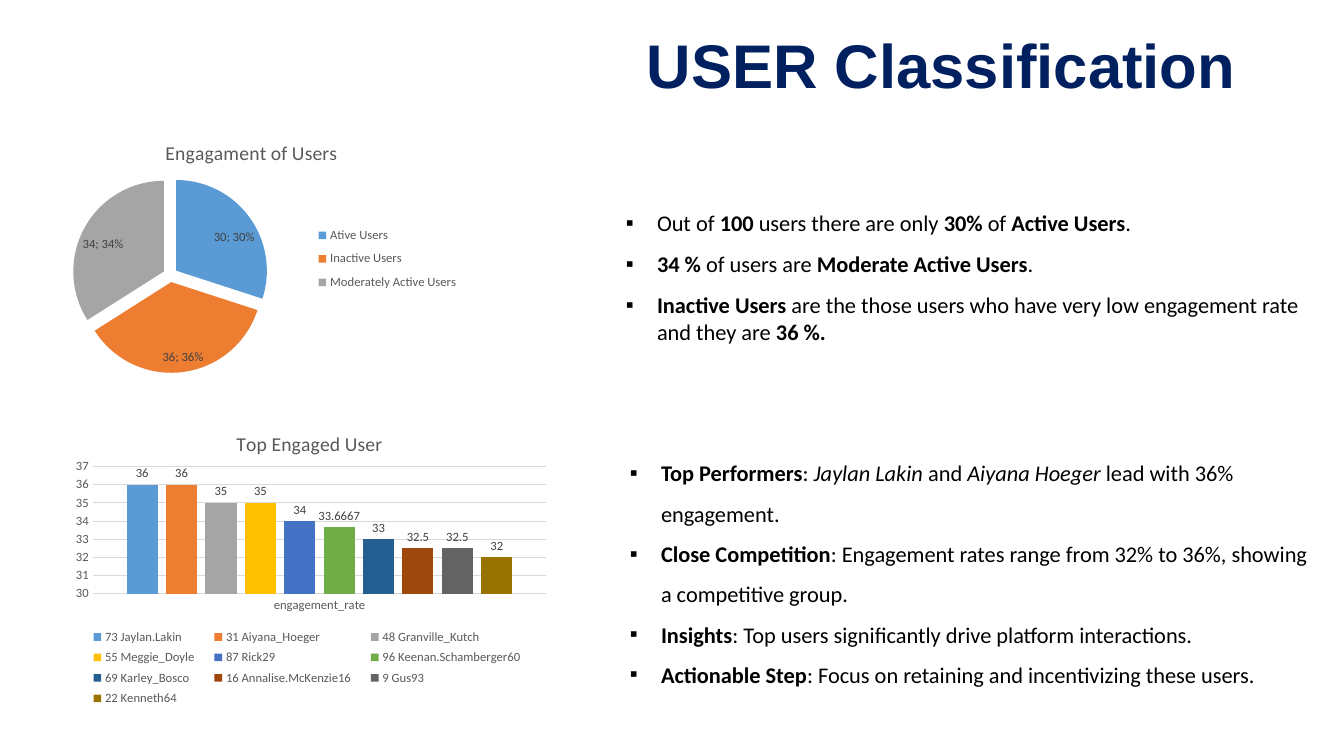
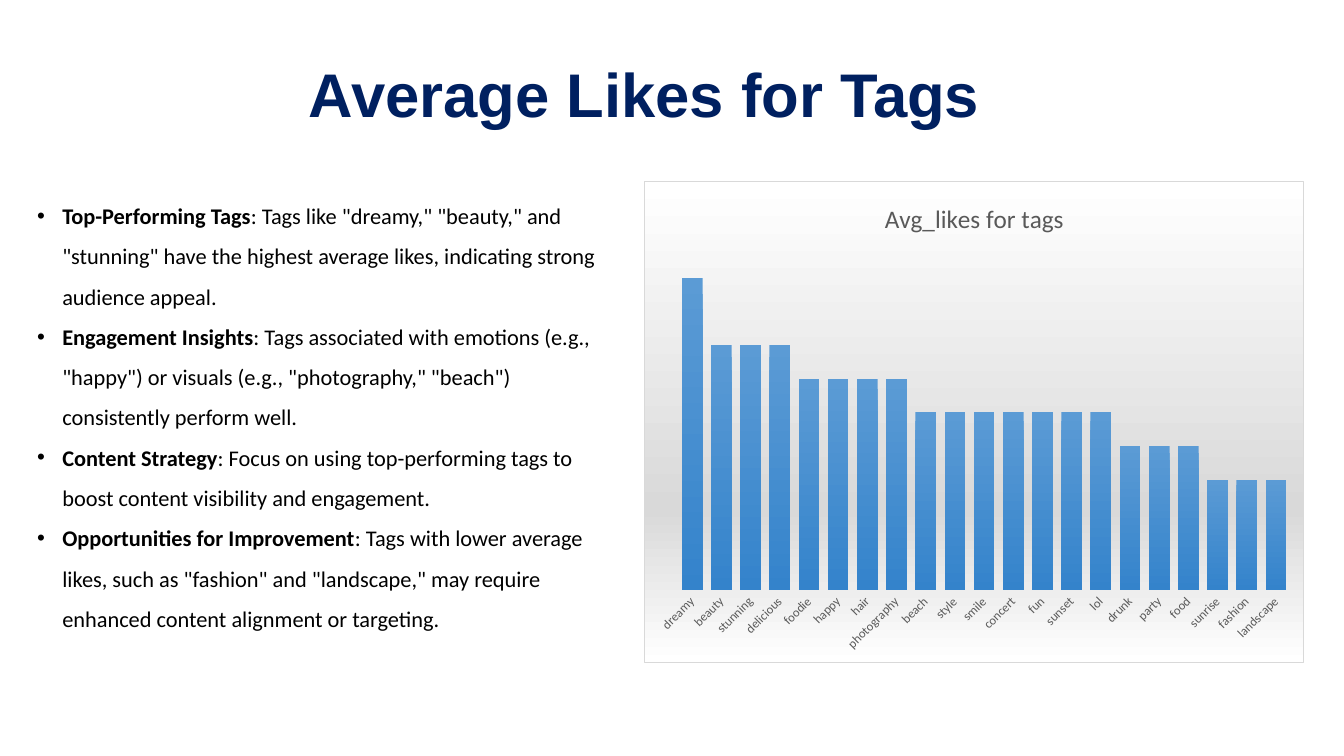
from lxml import etree
from pptx import Presentation
from pptx import util as u
from pptx.chart.data import CategoryChartData
from pptx.dml.color import RGBColor
from pptx.enum import chart as kinds, text as align
from pptx.oxml import parse_xml
from pptx.oxml.ns import nsdecls, qn

NAVY, BLACK, GREY, LABEL, RULE = "002060", "000000", "595959", "404040", "D9D9D9"
WHITE, BLUE, DEEP_BLUE = "FFFFFF", "5B9BD5", "3483CB"
HEAD_FONT, BODY_FONT = "Arial", "Calibri"

ENGAGEMENT = [("Ative Users", 30, BLUE), ("Inactive Users", 36, "ED7D31"),
              ("Moderately Active Users", 34, "A5A5A5")]
ENGAGEMENT_NOTES = [
    "Out of *100* users there are only *30% *of *Active Users*.",
    "*34 % *of users are *Moderate Active Users*.",
    "*Inactive Users *are the those users who have very low engagement rate "
    "and they are *36 %.*",
]
TOP_USERS = [
    ("73 Jaylan.Lakin", 36, BLUE), ("31 Aiyana_Hoeger", 36, "ED7D31"),
    ("48 Granville_Kutch", 35, "A5A5A5"), ("55 Meggie_Doyle", 35, "FFC000"),
    ("87 Rick29", 34, "4472C4"), ("96 Keenan.Schamberger60", 33.6667, "70AD47"),
    ("69 Karley_Bosco", 33, "255E91"), ("16 Annalise.McKenzie16", 32.5, "9E480E"),
    ("9 Gus93", 32.5, "636363"), ("22 Kenneth64", 32, "997300"),
]
TOP_USER_NOTES = [
    "*Top Performers*: ~Jaylan Lakin~ and ~Aiyana Hoeger~ lead with 36% engagement.",
    "*Close Competition*: Engagement rates range from 32% to 36%, showing "
    "a competitive group.",
    "*Insights*: Top users significantly drive platform interactions.",
    "*Actionable Step*: Focus on retaining and incentivizing these users.",
]
TAG_LIKES = {
    "dreamy": 100, "beauty": 98, "stunning": 98, "delicious": 98, "foodie": 97,
    "happy": 97, "hair": 97, "photography": 97, "beach": 96, "style": 96,
    "smile": 96, "concert": 96, "fun": 96, "sunset": 96, "lol": 96, "drunk": 95,
    "party": 95, "food": 95, "sunrise": 94, "fashion": 94, "landscape": 94,
}
TAG_NOTES = [
    '*Top-Performing Tags*: Tags like "dreamy," "beauty," and "stunning" have '
    'the highest average likes, indicating strong audience appeal.',
    '*Engagement Insights*: Tags associated with emotions (e.g., "happy") or '
    'visuals (e.g., "photography," "beach") consistently perform well.',
    '*Content Strategy*: Focus on using top-performing tags to boost content '
    'visibility and engagement.',
    '*Opportunities for Improvement*: Tags with lower average likes, such as '
    '"fashion" and "landscape," may require enhanced content alignment or targeting.',
]


def rgb(code):
    return RGBColor.from_string(code)


def style(font, size, color, name=BODY_FONT, bold=False, italic=False):
    font.size, font.name, font.bold, font.italic = u.Pt(size), name, bold, italic
    font.color.rgb = rgb(color)


def add_bullet(paragraph, symbol, margin, hang):
    props = paragraph._p.get_or_add_pPr()
    props.set("marL", str(u.Inches(margin)))
    props.set("indent", str(-u.Inches(hang)))
    etree.SubElement(props, qn("a:buFont")).set("typeface", HEAD_FONT)
    etree.SubElement(props, qn("a:buChar")).set("char", symbol)


def add_text(slide, box, lines, size=16, color=BLACK, font=BODY_FONT, bold=False,
             center=False, middle=True, spacing=1.5, before=0, bullet=None,
             margin=0.31, hang=0.31):
    frame = slide.shapes.add_textbox(*map(u.Inches, box)).text_frame
    frame.word_wrap = True
    frame.vertical_anchor = align.MSO_ANCHOR.MIDDLE if middle else align.MSO_ANCHOR.TOP
    for index, line in enumerate(lines):
        paragraph = frame.add_paragraph() if index else frame.paragraphs[0]
        paragraph.alignment = align.PP_ALIGN.CENTER if center else align.PP_ALIGN.LEFT
        paragraph.line_spacing = spacing
        paragraph.space_before = u.Pt(before)
        if bullet:
            add_bullet(paragraph, bullet, margin, hang)
        for strong, part in enumerate(line.split("*")):
            for slanted, piece in enumerate(part.split("~")):
                if piece:
                    run = paragraph.add_run()
                    run.text = piece
                    style(run.font, size, color, font, bold or strong % 2 == 1,
                          slanted % 2 == 1)


def add_title(slide, box, title):
    add_text(slide, box, [title], size=44, color=NAVY, font=HEAD_FONT, bold=True,
             center=True, spacing=0.9)


def layout_xml(area, inner=False):
    target = '<c:layoutTarget val="inner"/>' if inner else ""
    sizes = "".join(f'<c:{key} val="{value}"/>' for key, value in zip("xywh", area))
    return parse_xml(
        f'<c:layout {nsdecls("c")}><c:manualLayout>{target}<c:xMode val="edge"/>'
        f'<c:yMode val="edge"/>{sizes}</c:manualLayout></c:layout>')


def gradient_xml(*stops):
    marks = "".join(f'<a:gs pos="{place * 1000}"><a:srgbClr val="{color}"/></a:gs>'
                    for place, color in stops)
    return parse_xml(f'<a:gradFill {nsdecls("a")} rotWithShape="1"><a:gsLst>{marks}'
                     '</a:gsLst><a:lin ang="5400000" scaled="0"/></a:gradFill>')


def drop_layouts(parent):
    for old in parent.findall(qn("c:layout")):
        parent.remove(old)


def add_chart(slide, box, kind, title, categories, series, plot_area, title_size=14):
    data = CategoryChartData()
    data.categories = categories
    for name, values in series:
        data.add_series(name, values)
    chart = slide.shapes.add_chart(kind, *map(u.Inches, box), data).chart
    style(chart.font, 10, BLACK)
    chart.has_legend = False
    chart.has_title = True
    heading = chart.chart_title.text_frame
    heading.text = title
    style(heading.paragraphs[0].runs[0].font, title_size, GREY)
    plot = chart._chartSpace.chart.plotArea
    drop_layouts(plot)
    plot.insert(0, layout_xml(plot_area, inner=True))
    return chart


def add_legend(chart, position, area):
    chart.has_legend = True
    legend = chart.legend
    legend.position = position
    legend.include_in_layout = False
    style(legend.font, 9, GREY)
    drop_layouts(legend._element)
    legend._element.find(qn("c:legendPos")).addnext(layout_xml(area))


def show_labels(labels, position):
    labels.show_value = True
    labels.position = position
    style(labels.font, 9, LABEL)


def style_axis(axis):
    axis.major_tick_mark = axis.minor_tick_mark = kinds.XL_TICK_MARK.NONE
    axis.has_major_gridlines = False
    style(axis.tick_labels.font, 9, GREY)
    axis.format.line.fill.background()


def paint_line(line, color=RULE):
    line.color.rgb = rgb(color)
    line.width = u.Pt(0.75)


def engagement_pie(slide, box):
    names, counts, colors = zip(*ENGAGEMENT)
    chart = add_chart(slide, box, kinds.XL_CHART_TYPE.PIE, "Engagament of Users",
                      names, [("Series 1", counts)], (0.06, 0.21, 0.51, 0.79))
    add_legend(chart, kinds.XL_LEGEND_POSITION.RIGHT, (0.63, 0.38, 0.36, 0.32))
    plot = chart.plots[0]
    plot.vary_by_categories = True
    users = plot.series[0]
    for index, color in enumerate(colors):
        fill = users.points[index].format.fill
        fill.solid()
        fill.fore_color.rgb = rgb(color)
    explosion = parse_xml(f'<c:explosion {nsdecls("c")} val="8"/>')
    users._element.find(qn("c:dPt")).addprevious(explosion)
    labels = users.data_labels
    show_labels(labels, kinds.XL_LABEL_POSITION.BEST_FIT)
    labels.show_percentage = True
    separator = parse_xml(f'<c:separator {nsdecls("c")}>; </c:separator>')
    labels._element.find(qn("c:showBubbleSize")).addnext(separator)


def top_user_columns(slide, box):
    chart = add_chart(slide, box, kinds.XL_CHART_TYPE.COLUMN_CLUSTERED,
                      "Top Engaged User", ["engagement_rate"],
                      [(name, [rate]) for name, rate, _ in TOP_USERS],
                      (0.07, 0.17, 0.9, 0.42))
    add_legend(chart, kinds.XL_LEGEND_POSITION.BOTTOM, (0.04, 0.69, 0.91, 0.29))
    plot = chart.plots[0]
    plot.vary_by_categories = False
    plot.gap_width, plot.overlap = 219, -27
    for user, (_, _, color) in zip(plot.series, TOP_USERS):
        user.format.fill.solid()
        user.format.fill.fore_color.rgb = rgb(color)
        show_labels(user.data_labels, kinds.XL_LABEL_POSITION.OUTSIDE_END)
    rates = chart.value_axis
    style_axis(chart.category_axis)
    style_axis(rates)
    paint_line(chart.category_axis.format.line)
    rates.minimum_scale, rates.maximum_scale, rates.major_unit = 30, 37, 1
    rates.has_major_gridlines = True
    paint_line(rates.major_gridlines.format.line)


def tag_columns(slide, box):
    chart = add_chart(slide, box, kinds.XL_CHART_TYPE.COLUMN_CLUSTERED,
                      "Avg_likes for tags", list(TAG_LIKES),
                      [("Series 1", list(TAG_LIKES.values()))],
                      (0.05, 0.13, 0.93, 0.72), title_size=18)
    plot = chart.plots[0]
    plot.vary_by_categories = False
    plot.gap_width = 41
    plot.series[0]._element.get_or_add_spPr().append(
        gradient_xml((0, BLUE), (100, DEEP_BLUE)))
    style_axis(chart.category_axis)
    tilt = chart.category_axis._element.find(qn("c:txPr")).find(qn("a:bodyPr"))
    tilt.set("rot", "-2700000")
    likes = chart.value_axis
    likes.has_major_gridlines = False
    likes.minimum_scale, likes.maximum_scale = 90.7, 101
    likes.visible = False
    panel = parse_xml(
        f'<c:spPr {nsdecls("c", "a")}><a:ln w="{u.Pt(0.75)}"><a:solidFill>'
        f'<a:srgbClr val="{RULE}"/></a:solidFill></a:ln></c:spPr>')
    panel.insert(0, gradient_xml((0, WHITE), (68, RULE), (100, WHITE)))
    chart._chartSpace.chart.addnext(panel)


def user_slide(slide):
    add_title(slide, (5.57, 0.2, 7.54, 0.95), "USER Classification")
    engagement_pie(slide, (0.32, 1.24, 4.35, 2.46))
    add_text(slide, (5.98, 2.03, 7.13, 1.67), ENGAGEMENT_NOTES, middle=False,
             spacing=1.0, before=10, bullet="▪", margin=0.44)
    top_user_columns(slide, (0.57, 4.12, 5, 3))
    add_text(slide, (6.15, 4.16, 6.96, 2.93), TOP_USER_NOTES, bullet="▪")


def tag_slide(slide):
    add_title(slide, (1.52, 0.31, 9.75, 1.31), "Average Likes for Tags")
    tag_columns(slide, (6.39, 1.8, 6.55, 4.78))
    add_text(slide, (0.27, 1.8, 5.97, 4.54), TAG_NOTES, bullet="•",
             margin=0.25, hang=0.25)


def main():
    deck = Presentation()
    deck.slide_width, deck.slide_height = u.Inches(40 / 3), u.Inches(7.5)
    for build in (user_slide, tag_slide):
        build(deck.slides.add_slide(deck.slide_layouts[6]))
    deck.save("out.pptx")


if __name__ == "__main__":
    main()
